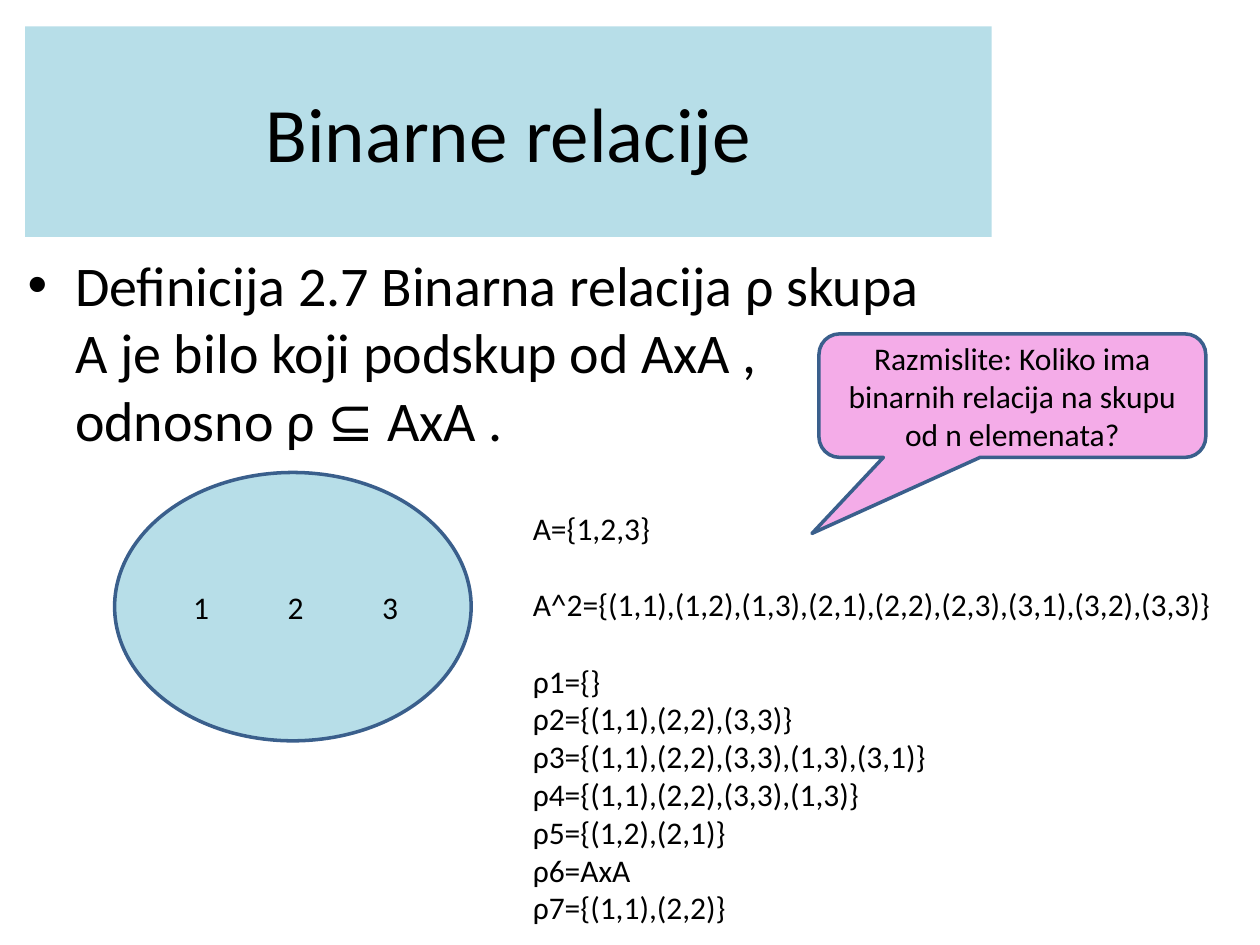
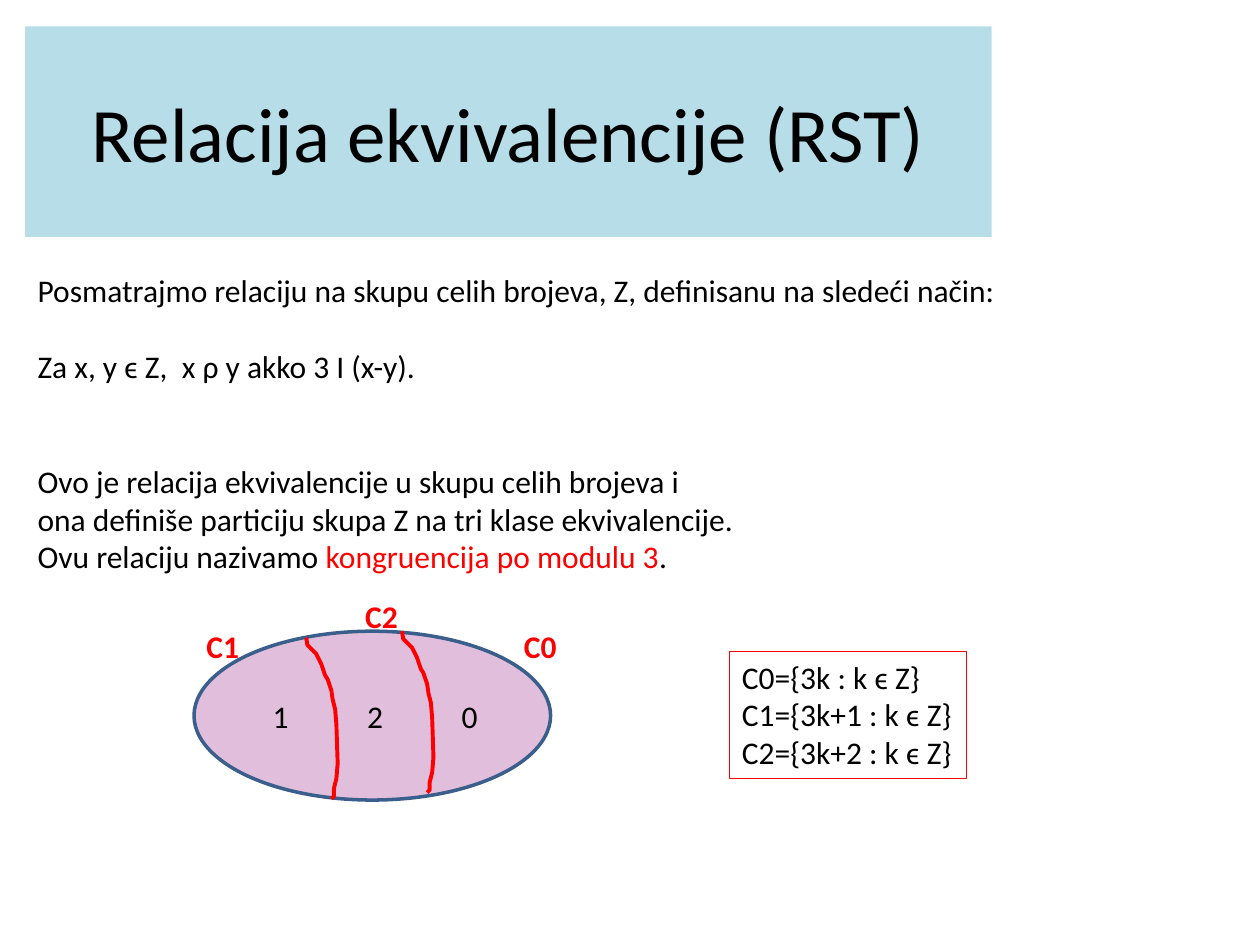
from dataclasses import dataclass
from lxml.etree import SubElement
from pptx import Presentation
from pptx.dml.color import RGBColor
from pptx.enum.shapes import MSO_SHAPE
from pptx.enum.text import MSO_ANCHOR, PP_ALIGN
from pptx.oxml.ns import qn
from pptx.util import Inches, Pt


@dataclass(frozen=True)
class Theme:
    font: str = "Calibri"
    ink: RGBColor = RGBColor(0, 0, 0)
    accent: RGBColor = RGBColor(0xFF, 0, 0)
    outline: RGBColor = RGBColor(0x3A, 0x5F, 0x8C)
    blue: RGBColor = RGBColor(0xB7, 0xDE, 0xE8)
    pink: RGBColor = RGBColor(0xF4, 0xAC, 0xE8)
    lilac: RGBColor = RGBColor(0xE1, 0xBF, 0xDC)
    title_size: int = 44
    body_size: int = 32
    text_size: int = 18
    line_height: int = 22


class Lesson:
    def __init__(self, deck, theme):
        self.deck = deck
        self.theme = theme
        self.page = None

    def start(self, title, layout):
        self.page = self.deck.slides.add_slide(self.deck.slide_layouts.get_by_name(layout))
        box = self.page.shapes.title
        self.place(box, 0.2, 0.21, 7.67, 1.67)
        box.fill.solid()
        box.fill.fore_color.rgb = self.theme.blue
        box.text_frame.vertical_anchor = MSO_ANCHOR.MIDDLE
        self.set_text(box.text_frame.paragraphs[0], title, self.theme.title_size, PP_ALIGN.CENTER)

    def place(self, box, left, top, width, height):
        box.left, box.top = Inches(left), Inches(top)
        box.width, box.height = Inches(width), Inches(height)

    def set_text(self, para, text, size, align=None, color=None, bold=None):
        para.text = text
        para.alignment = align
        para.font.name = self.theme.font
        para.font.size = Pt(size)
        para.font.bold = bold
        para.font.color.rgb = color or self.theme.ink

    def body(self, text, left, top, width, height):
        box = self.page.placeholders[1]
        self.place(box, left, top, width, height)
        self.set_text(box.text_frame.paragraphs[0], text, self.theme.body_size)

    def text(self, lines, left, top, width, height, gaps=None, color=None, bold=None):
        box = self.page.shapes.add_textbox(Inches(left), Inches(top), Inches(width), Inches(height))
        frame = box.text_frame
        frame.word_wrap = False
        for index, line in enumerate(lines):
            para = frame.add_paragraph() if index else frame.paragraphs[0]
            self.set_text(para, line, self.theme.text_size, PP_ALIGN.LEFT, color, bold)
            para.space_before = Pt(self.theme.line_height * (gaps or {}).get(index, 0))
        return box

    def highlight(self, para, text):
        span = para.add_run()
        span.text = text
        span.font.color.rgb = self.theme.accent

    def frame(self, box):
        box.line.color.rgb = self.theme.accent
        box.line.width = Pt(0.75)

    def shape(self, kind, text, fill, left, top, width, height, align):
        box = self.page.shapes.add_shape(
            kind, Inches(left), Inches(top), Inches(width), Inches(height))
        box.shadow.inherit = False
        box.fill.solid()
        box.fill.fore_color.rgb = fill
        box.line.color.rgb = self.theme.outline
        box.line.width = Pt(2)
        box.text_frame.word_wrap = True
        box.text_frame.vertical_anchor = MSO_ANCHOR.MIDDLE
        self.set_text(box.text_frame.paragraphs[0], text, self.theme.text_size, align)
        return box

    def callout(self, text, left, top, width, height, adjustments):
        box = self.shape(MSO_SHAPE.ROUNDED_RECTANGULAR_CALLOUT, text, self.theme.pink,
                         left, top, width, height, PP_ALIGN.CENTER)
        for index, value in enumerate(adjustments):
            box.adjustments[index] = value

    def set_of(self, members, fill, left, top, width, height):
        box = self.shape(MSO_SHAPE.OVAL, "\t".join(members), fill,
                         left, top, width, height, PP_ALIGN.LEFT)
        box.text_frame.margin_left = Inches(0.21)
        properties = box.text_frame.paragraphs[0]._p.get_or_add_pPr()
        stops = properties.makeelement(qn("a:tabLst"), {})
        properties.insert_element_before(stops, "a:defRPr", "a:extLst")
        for index in range(1, len(members)):
            SubElement(stops, qn("a:tab"), pos=str(Inches(0.75 * index)), algn="l")

    def divider(self, points, left, top):
        corners = [(Inches(left + x), Inches(top + y)) for x, y in points]
        builder = self.page.shapes.build_freeform(*corners[0])
        builder.add_line_segments(corners[1:], close=False)
        stroke = builder.convert_to_shape()
        stroke.shadow.inherit = False
        stroke.fill.background()
        stroke.line.color.rgb = self.theme.accent
        stroke.line.width = Pt(2.25)


deck = Presentation()
deck.slide_width, deck.slide_height = Inches(10), Inches(7.5)
theme = Theme()
lesson = Lesson(deck, theme)

lesson.start("Binarne relacije", "Title and Content")
lesson.body("Definicija 2.7 Binarna relacija ρ skupa A je bilo koji podskup od AxA , "
            "odnosno ρ ⊆ AxA .", 0.12, 1.94, 7.59, 4.5)
lesson.set_of("123", theme.blue, 0.91, 3.75, 2.83, 2.13)
relations = ["{}", "{(1,1),(2,2),(3,3)}", "{(1,1),(2,2),(3,3),(1,3),(3,1)}",
             "{(1,1),(2,2),(3,3),(1,3)}", "{(1,2),(2,1)}", "AxA", "{(1,1),(2,2)}"]
lesson.text(["A={1,2,3}", "A^2={(1,1),(1,2),(1,3),(2,1),(2,2),(2,3),(3,1),(3,2),(3,3)}"]
            + [f"ρ{number}={pairs}" for number, pairs in enumerate(relations, 1)],
            4.13, 3.99, 5.65, 3.46, gaps={1: 1, 2: 1})
lesson.callout("Razmislite: Koliko ima binarnih relacija na skupu od n elemenata?",
               6.5, 2.65, 3.07, 0.98, (-0.518, 1.116, 0.167))

lesson.start("Relacija ekvivalencije (RST)", "Title Only")
explanation = lesson.text(
    ["Posmatrajmo relaciju na skupu celih brojeva, Z, definisanu na sledeći način:",
     "Za x, y ϵ Z,  x ρ y akko 3 I (x-y).",
     "Ovo je relacija ekvivalencije u skupu celih brojeva i",
     "ona definiše particiju skupa Z na tri klase ekvivalencije.",
     "Ovu relaciju nazivamo "],
    0.2, 2.1, 7.89, 4.64, gaps={1: 1, 2: 2})
closing = explanation.text_frame.paragraphs[-1]
lesson.highlight(closing, "kongruencija po modulu 3")
closing.add_run().text = "."

lesson.set_of("120", theme.lilac, 1.54, 5.01, 2.83, 1.34)
wave = [(0, 0), (0.01, 0.06), (0.04, 0.09), (0.08, 0.13), (0.1, 0.17), (0.12, 0.21),
        (0.15, 0.3), (0.17, 0.33), (0.2, 0.42), (0.21, 0.49), (0.23, 0.57),
        (0.24, 0.69), (0.25, 1.0), (0.24, 1.12), (0.22, 1.2), (0.22, 1.26), (0.2, 1.28)]
for left, top in ((2.43, 5.06), (3.19, 5.01)):
    lesson.divider(wave, left, top)
for index, (name, top) in enumerate((("C1", 4.93), ("C2", 4.69), ("C0", 4.93))):
    lesson.text([name], 1.54 + 1.26 * index, top, 0.46, 0.4, color=theme.accent, bold=True)
classes = lesson.text([f"C{rest}={{3k{shift} : k ϵ Z}}"
                       for rest, shift in enumerate(("", "+1", "+2"))],
                      5.79, 5.17, 1.88, 1.01)
lesson.frame(classes)

deck.save("out.pptx")
